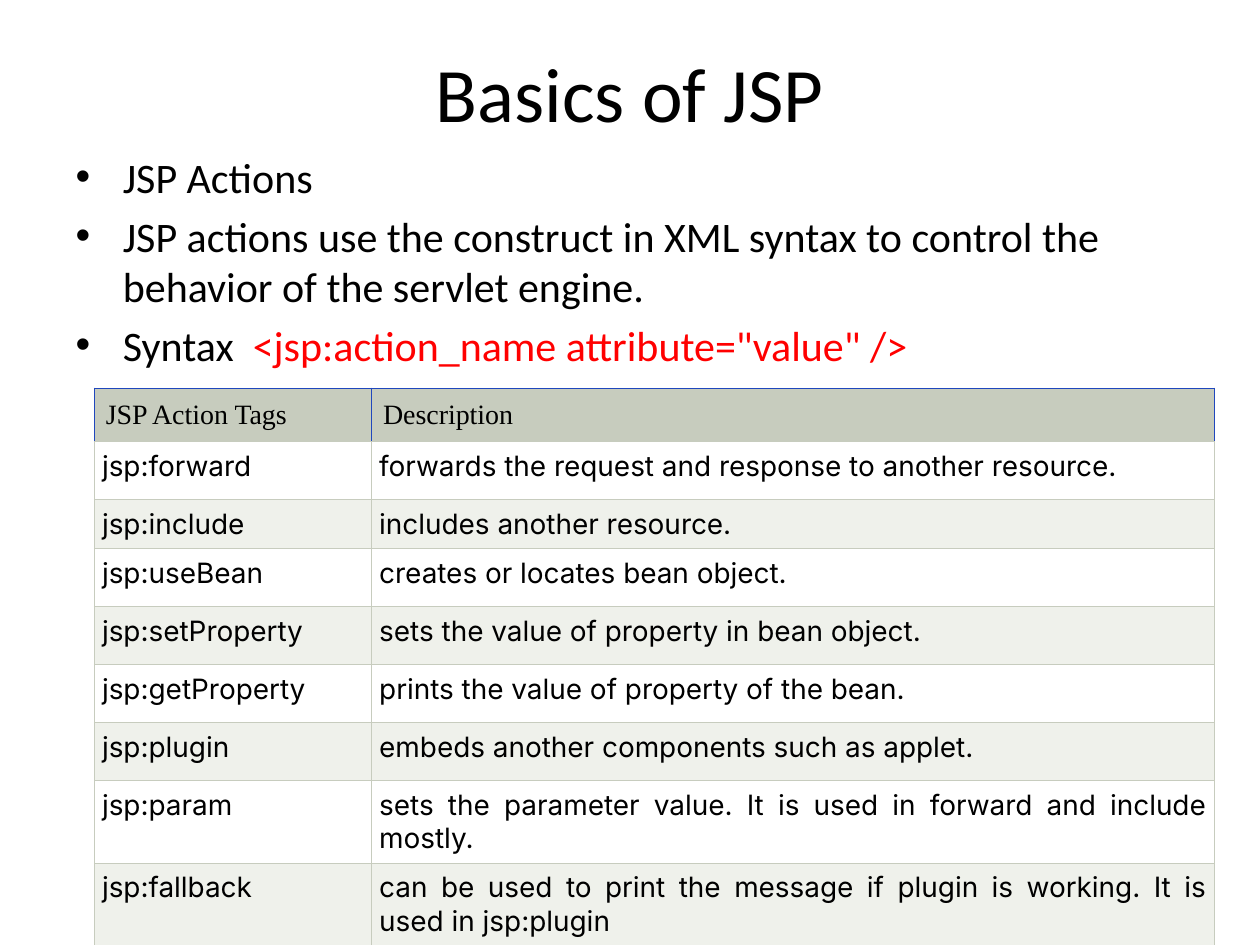
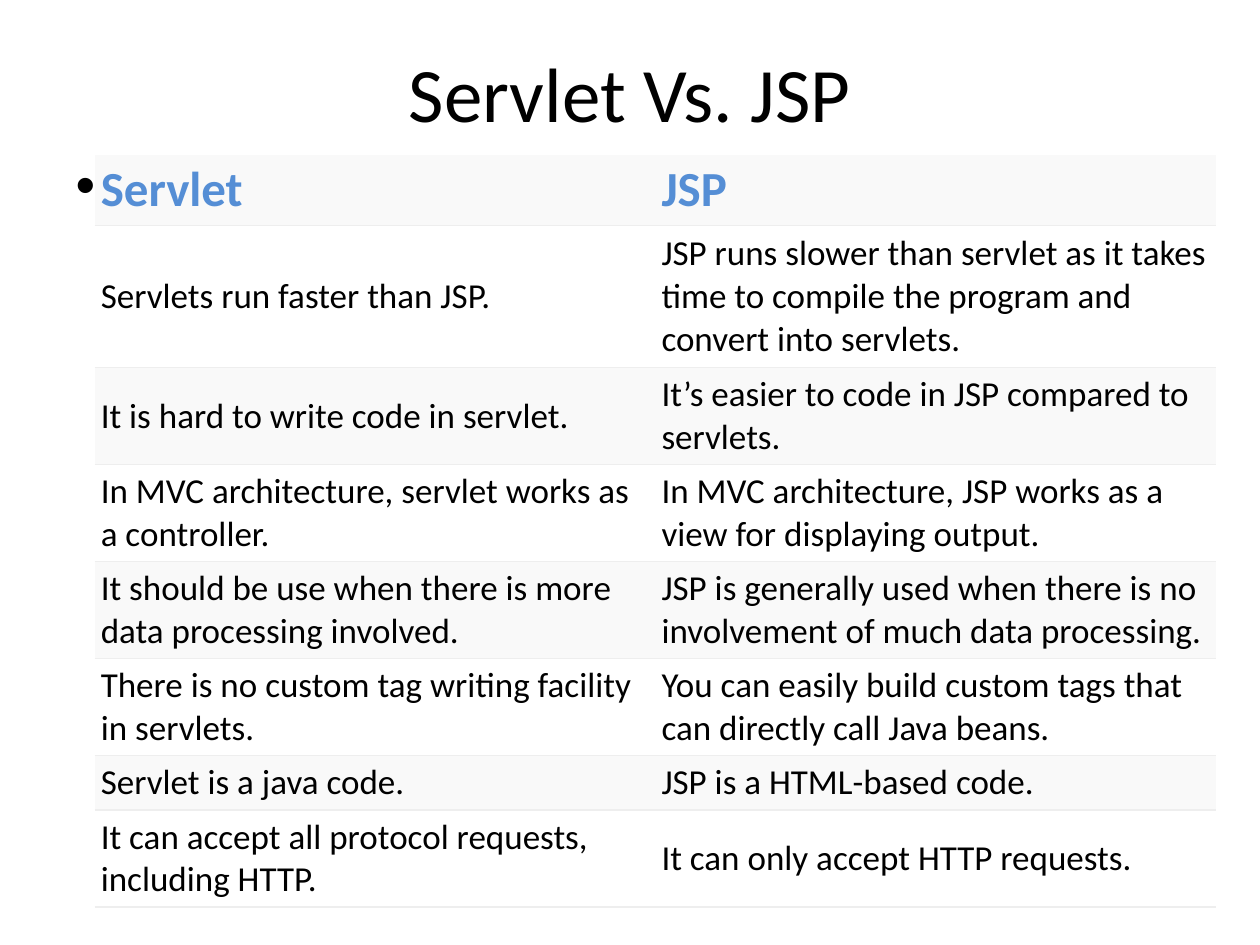
"""Build two slides on JSP actions and on how servlets differ from JSP."""
from lxml.etree import SubElement
from pptx import Presentation
from pptx.dml.color import RGBColor
from pptx.enum.text import MSO_ANCHOR, MSO_AUTO_SIZE, PP_ALIGN
from pptx.oxml.ns import qn
from pptx.util import Inches, Pt

HUES = {
    "ink": "000000",
    "red": "FF0000",
    "white": "FFFFFF",
    "sage": "C7CCBE",
    "mist": "EFF1EB",
    "edge": "2047BD",
    "sky": "558ED5",
    "pale": "F9F9F9",
    "rule": "EEEEEE",
}
FONT = "Calibri"
SIDES = ("L", "R", "T", "B")

TAGS = [
    ("JSP Action Tags", "Description"),
    ("jsp:forward", "forwards the request and response to another resource."),
    ("jsp:include", "includes another resource."),
    ("jsp:useBean", "creates or locates bean object."),
    ("jsp:setProperty", "sets the value of property in bean object."),
    ("jsp:getProperty", "prints the value of property of the bean."),
    ("jsp:plugin", "embeds another components such as applet."),
    ("jsp:param", "sets the parameter value. It is used in forward and include mostly."),
    ("jsp:fallback", "can be used to print the message if plugin is working. "
                     "It is used in jsp:plugin"),
]
PAIRS = [
    ("Servlet", "JSP"),
    ("Servlets run faster than JSP.",
     "JSP runs slower than servlet as it takes time to compile the program "
     "and convert into servlets."),
    ("It is hard to write code in servlet.",
     "It\u2019s easier to code in JSP compared to servlets."),
    ("In MVC architecture, servlet works as a controller.",
     "In MVC architecture, JSP works as a view for displaying output."),
    ("It should be use when there is more data processing involved.",
     "JSP is generally used when there is no involvement of much data processing."),
    ("There is no custom tag writing facility in servlets.",
     "You can easily build custom tags that can directly call Java beans."),
    ("Servlet is a java code.", "JSP is a HTML-based code."),
    ("It can accept all protocol requests, including HTTP.",
     "It can only accept HTTP requests."),
]

TAG_HEAD = dict(font="Times New Roman", size=16, fill="sage", pad=(0.09, 0.09),
                lines=dict(L="edge", R="edge", T="edge", B="sage"))
TAG_ROW = dict(font="Inter", size=16, pad=(0.06, 0.06),
               align=PP_ALIGN.JUSTIFY, lines=dict.fromkeys(SIDES, "sage"))
PAIR_ROW = dict(size=20, pad=(0.05, 0.03), anchor=MSO_ANCHOR.MIDDLE,
                lines=dict(T="rule", B="rule"))
PAIR_HEAD = {**PAIR_ROW, "size": 28, "hue": "sky", "bold": True,
             "fill": "pale", "lines": dict(B="rule")}


def tint(hue):
    """Return the named colour."""
    return RGBColor.from_string(HUES[hue])


def style(para, size, hue="ink", font=FONT, bold=False):
    """Format every run of a paragraph."""
    for run in para.runs:
        run.font.name = font
        run.font.size = Pt(size)
        run.font.bold = bold
        run.font.color.rgb = tint(hue)


def place(shape, left, top, width, height):
    """Move and size a shape, given inches."""
    shape.left, shape.top = Inches(left), Inches(top)
    shape.width, shape.height = Inches(width), Inches(height)


def add_page(deck, title):
    """Add a titled slide and return it."""
    page = deck.slides.add_slide(deck.slide_layouts[1])
    head = page.shapes.title
    place(head, 0.5, 0.3, 9, 0.85)
    frame = head.text_frame
    frame.text = title
    frame.vertical_anchor = MSO_ANCHOR.MIDDLE
    frame.paragraphs[0].alignment = PP_ALIGN.CENTER
    style(frame.paragraphs[0], 44)
    return page


def add_list(page, items, size, height):
    """Fill the body with bullets and return its last paragraph."""
    body = page.placeholders[1]
    place(body, 0.5, 1.15, 9, height)
    frame = body.text_frame
    frame.auto_size = MSO_AUTO_SIZE.NONE
    frame.text = "\n".join(items)
    for para in frame.paragraphs:
        style(para, size)
    return frame.paragraphs[-1]


def add_lines(cell, lines):
    """Draw the given sides of a cell and clear the rest."""
    props = cell._tc.get_or_add_tcPr()
    for side in SIDES:
        line = SubElement(props, qn("a:ln" + side), w=str(Pt(0.75)))
        if side in lines:
            fill = SubElement(line, qn("a:solidFill"))
            SubElement(fill, qn("a:srgbClr"), val=HUES[lines[side]])
        else:
            SubElement(line, qn("a:noFill"))


def fill_cell(cell, text, size, fill, pad, lines, hue="ink", font=FONT,
              bold=False, align=PP_ALIGN.LEFT, anchor=MSO_ANCHOR.TOP):
    """Write and format one cell."""
    cell.text = text
    para = cell.text_frame.paragraphs[0]
    para.alignment = align
    style(para, size, hue, font, bold)
    cell.vertical_anchor = anchor
    cell.margin_left = cell.margin_right = Inches(pad[0])
    cell.margin_top = cell.margin_bottom = Inches(pad[1])
    add_lines(cell, lines)
    cell.fill.solid()
    cell.fill.fore_color.rgb = tint(fill)


def add_grid(page, data, top, widths, heights, head, row, band):
    """Add a table with a head row and banded rows below it."""
    frame = page.shapes.add_table(
        len(data), len(widths), Inches(0.75), Inches(top),
        Inches(sum(widths)), Inches(sum(heights)))
    grid = frame.table
    grid.first_row = grid.horz_banding = False
    for col, width in zip(grid.columns, widths):
        col.width = Inches(width)
    for num, (texts, height) in enumerate(zip(data, heights)):
        grid.rows[num].height = Inches(height)
        look = {"fill": "white" if num % 2 else band, **row} if num else head
        for col, text in enumerate(texts):
            fill_cell(grid.cell(num, col), text, **look)


def add_tags(deck):
    """Build the slide on action tags."""
    page = add_page(deck, "Basics of JSP")
    last = add_list(page, [
        "JSP Actions",
        "JSP actions use the construct in XML syntax to control the "
        "behavior of the servlet engine.",
        "Syntax  ",
    ], 24, 5.91)
    code = last.add_run()
    code.text = '<jsp:action_name attribute="value" />'
    code.font.name = FONT
    code.font.size = Pt(24)
    code.font.color.rgb = tint("red")
    heights = [0.33, 0.46, 0.28] + [0.46] * 4 + [0.64] * 2
    add_grid(page, TAGS, 3.08, [2.2, 6.69], heights, TAG_HEAD, TAG_ROW, "mist")


def add_pairs(deck):
    """Build the slide that compares servlets with JSP."""
    page = add_page(deck, "Servlet Vs. JSP")
    add_list(page, ["."], 32, 5.55)
    heights = [0.56, 1.13] + [0.77] * 4 + [0.43, 0.77]
    add_grid(page, PAIRS, 1.23, [4.45] * 2, heights, PAIR_HEAD, PAIR_ROW, "pale")


def main():
    """Build and save the deck."""
    deck = Presentation()
    deck.slide_width, deck.slide_height = Inches(10), Inches(7.5)
    add_tags(deck)
    add_pairs(deck)
    deck.save("out.pptx")


main()
